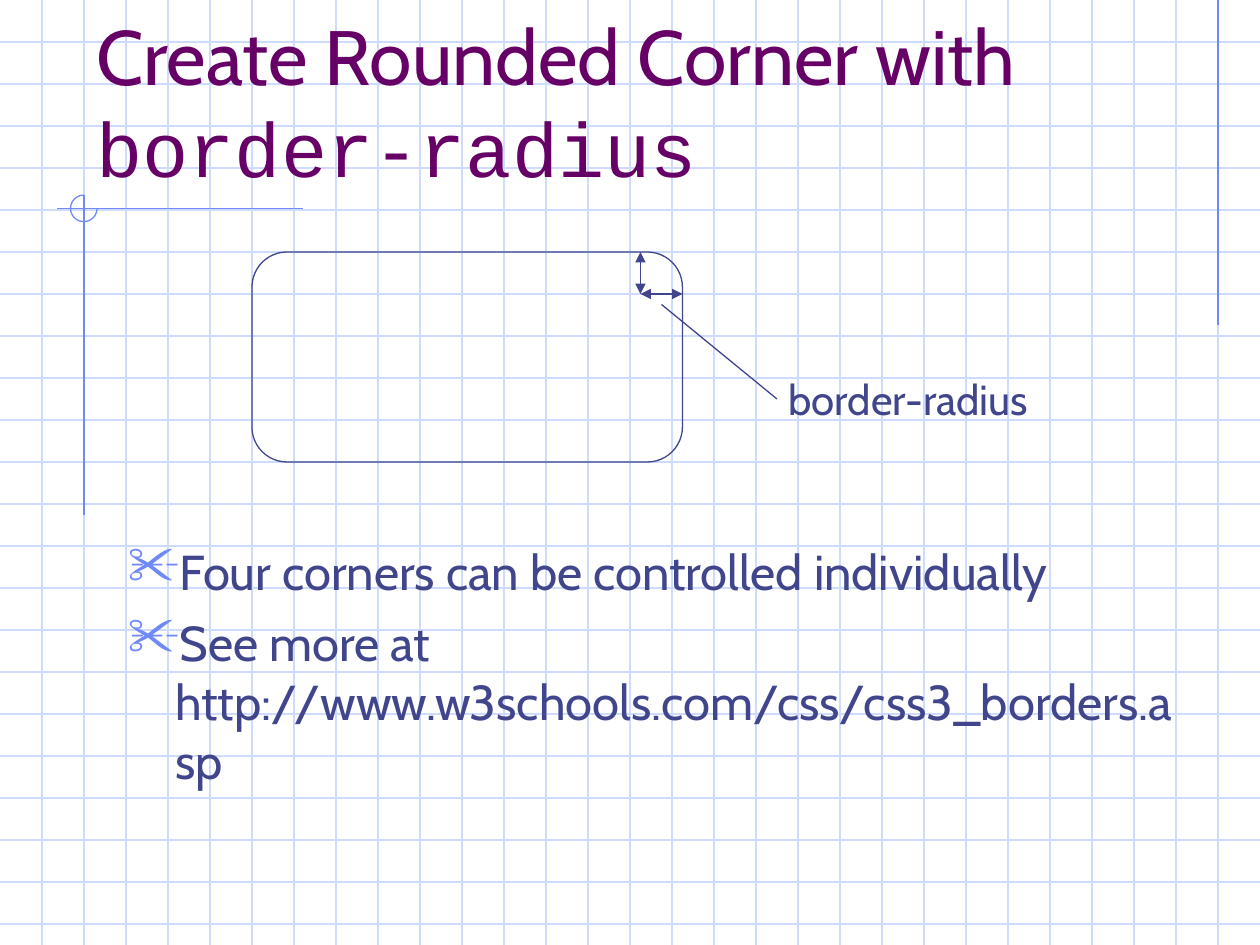
from pptx import Presentation
from pptx.dml.color import RGBColor
from pptx.enum.shapes import MSO_CONNECTOR, MSO_SHAPE
from pptx.enum.text import MSO_ANCHOR, PP_ALIGN
from pptx.oxml.ns import qn
from pptx.util import Pt
from lxml.etree import SubElement

PAGE_WIDTH, PAGE_HEIGHT, GRID_STEP = 720, 540, 24


def color(value):
    return RGBColor.from_string(value)


class GridPaper:
    font = "Cabin"
    code_font = "Courier New"
    ink = "40458C"
    heading = "660066"
    accent = "6F89F7"
    grid = "CFDBFD"
    line_width = 0.75

    def __init__(self, page):
        self.page = page

    def line(self, x1, y1, x2, y2, stroke, arrows=False):
        connector = self.page.shapes.add_connector(
            MSO_CONNECTOR.STRAIGHT, Pt(x1), Pt(y1), Pt(x2), Pt(y2))
        connector.line.color.rgb = color(stroke)
        connector.line.width = Pt(self.line_width)
        SubElement(connector._element.spPr, qn("a:effectLst"))
        if arrows:
            outline = connector.line._get_or_add_ln()
            for end in ("a:headEnd", "a:tailEnd"):
                SubElement(outline, qn(end), type="triangle")

    def outline(self, kind, left, top, width, height, stroke, adjustments):
        shape = self.page.shapes.add_shape(
            kind, Pt(left), Pt(top), Pt(width), Pt(height))
        for index, value in enumerate(adjustments):
            shape.adjustments[index] = value
        shape.shadow.inherit = False
        shape.fill.background()
        shape.line.color.rgb = color(stroke)
        shape.line.width = Pt(self.line_width)

    def text(self, left, top, width, height, paragraphs, size, fill,
             anchor=MSO_ANCHOR.TOP):
        box = self.page.shapes.add_textbox(
            Pt(left), Pt(top), Pt(width), Pt(height))
        frame = box.text_frame
        frame.text = "\n".join(paragraphs)
        frame.word_wrap = True
        frame.vertical_anchor = anchor
        for para in frame.paragraphs:
            para.alignment = PP_ALIGN.LEFT
            for span in para.runs:
                self.style(span, size, fill, self.font)
        return frame

    def style(self, span, size, fill, font):
        span.font.size = Pt(size)
        span.font.name = font
        span.font.color.rgb = color(fill)

    def title(self, left, top, width, height, words, code):
        frame = self.text(left, top, width, height, [words], 44,
                          self.heading, MSO_ANCHOR.BOTTOM)
        span = frame.paragraphs[0].add_run()
        span.text = code
        self.style(span, 44, self.heading, self.code_font)

    def bullets(self, left, top, width, height, items):
        frame = self.text(left, top, width, height, items, 28, self.ink)
        for index, para in enumerate(frame.paragraphs):
            para.space_before = Pt(7 if index else 0)
            properties = para._p.get_or_add_pPr()
            properties.set("marL", str(Pt(27)))
            properties.set("indent", str(Pt(-27)))
            bullet_color = SubElement(properties, qn("a:buClr"))
            SubElement(bullet_color, qn("a:srgbClr"), val=self.accent)
            SubElement(properties, qn("a:buSzPct"), val="110000")
            SubElement(properties, qn("a:buChar"), char="✂")


def main():
    deck = Presentation()
    deck.slide_width, deck.slide_height = Pt(PAGE_WIDTH), Pt(PAGE_HEIGHT)
    paper = GridPaper(deck.slides.add_slide(deck.slide_layouts[6]))

    for y in range(GRID_STEP, PAGE_HEIGHT, GRID_STEP):
        paper.line(0, y, PAGE_WIDTH, y, paper.grid)
    for x in range(GRID_STEP, PAGE_WIDTH, GRID_STEP):
        paper.line(x, 0, x, PAGE_HEIGHT, paper.grid)

    paper.line(696, 0, 696, 186, paper.accent)
    paper.line(173, 119.3, 32.5, 119.3, paper.accent)
    paper.line(48, 111.5, 48, 294.5, paper.accent)
    paper.outline(MSO_SHAPE.ARC, 40.3, 111.5, 15.2, 15.2, paper.accent, (0, 162))

    paper.title(48, 24, 612, 90, "Create Rounded Corner with ", "border-radius")
    paper.bullets(66, 306, 612, 156, [
        "Four corners can be controlled individually",
        "See more at http://www.w3schools.com/css/css3_borders.asp",
    ])

    left, top, width, height, radius = 144, 144, 246, 120, 24
    right = left + width
    paper.outline(MSO_SHAPE.ROUNDED_RECTANGLE, left, top, width, height,
                  paper.ink, (0.167,))
    paper.line(right - radius, top, right - radius, top + radius, paper.ink, True)
    paper.line(right - radius, top + radius, right, top + radius, paper.ink, True)
    paper.line(378, 174, 444, 228, paper.ink)
    paper.text(443.5, 210, 170, 36, ["border-radius"], 24, paper.ink)

    deck.save("out.pptx")


if __name__ == "__main__":
    main()
